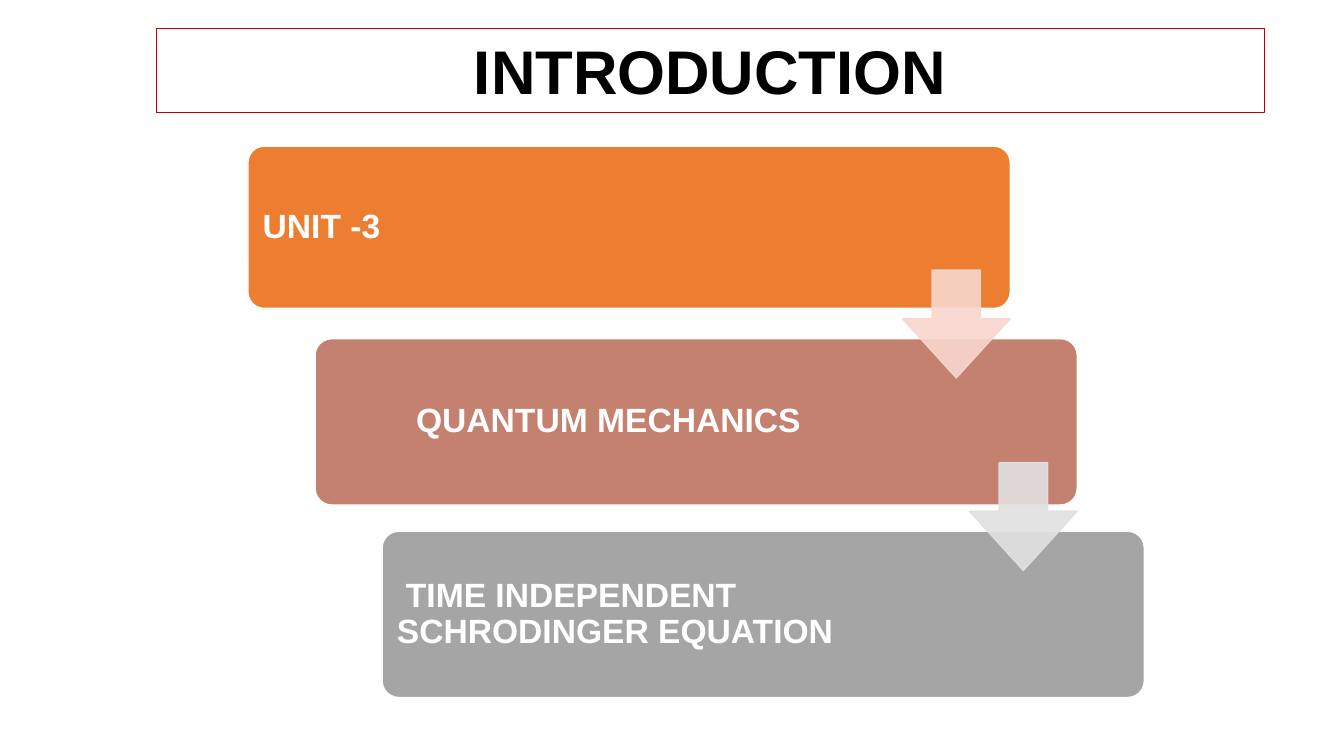
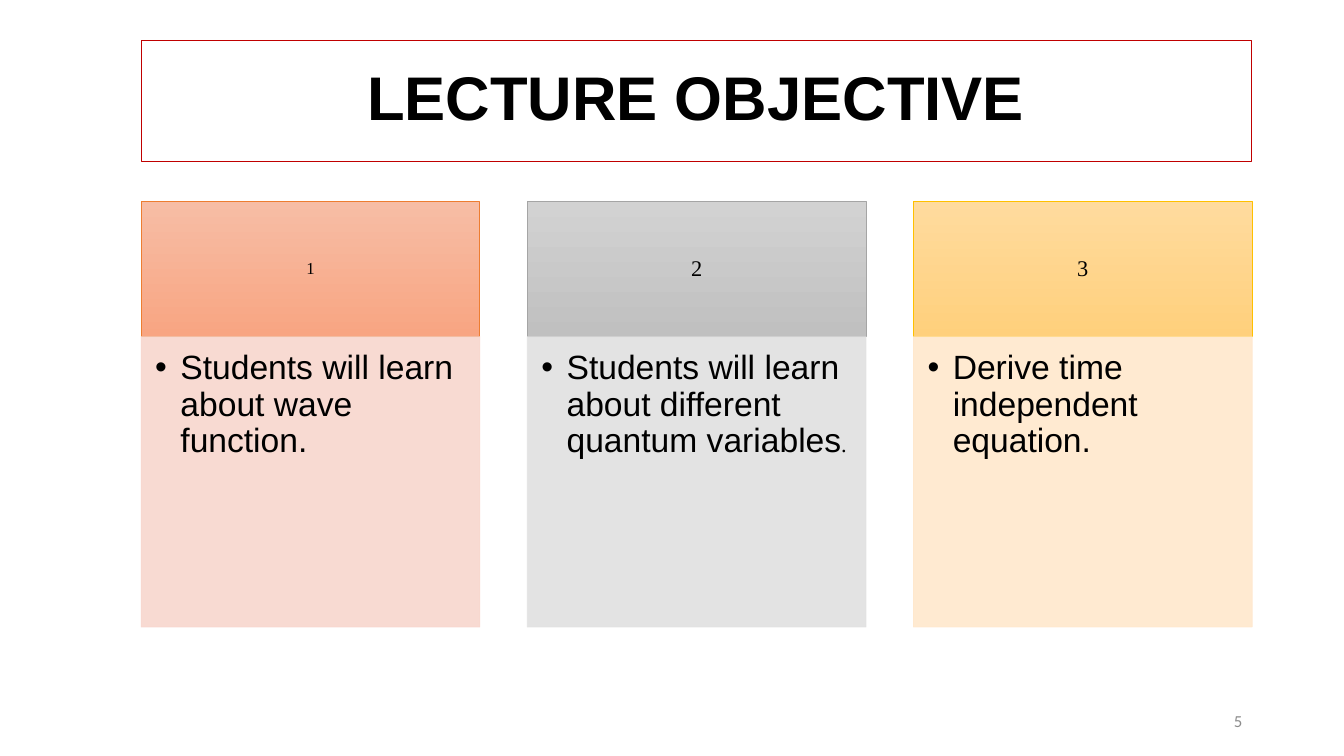
from lxml import etree
from pptx import Presentation
from pptx import util as u
from pptx.dml.color import RGBColor
from pptx.enum import shapes, text
from pptx.oxml.ns import qn

rgb = RGBColor.from_string
Shape = shapes.MSO_SHAPE
Align = text.PP_ALIGN
Anchor = text.MSO_ANCHOR


def block(slide, outline, place, fill=None, line=None, width=1, opacity=100, adjust=()):
    part = slide.shapes.add_shape(outline, *map(u.Inches, place))
    part.shadow.inherit = False
    if fill is None:
        part.fill.background()
    elif isinstance(fill, tuple):
        part.fill.gradient()
        part.fill.gradient_angle = 270
        for stop, color in zip(part.fill.gradient_stops, fill):
            stop.color.rgb = rgb(color)
    else:
        part.fill.solid()
        part.fill.fore_color.rgb = rgb(fill)
    if line:
        part.line.color.rgb = rgb(line)
        part.line.width = u.Pt(width)
    else:
        part.line.fill.background()
    for index, value in enumerate(adjust):
        part.adjustments[index] = value
    if opacity < 100:
        for color in part._element.spPr.iter(qn("a:srgbClr")):
            etree.SubElement(color, qn("a:alpha")).set("val", str(opacity * 1000))
    return part


def write(part, *runs, font="Arial", size=24, color="000000", bold=False, align=Align.LEFT,
          anchor=Anchor.MIDDLE, insets=(0.1, 0.05, 0.1, 0.05), spacing=0.9, bullet=None, indent=0):
    frame = part.text_frame
    frame.word_wrap = True
    frame.vertical_anchor = anchor
    frame.margin_left, frame.margin_top, frame.margin_right, frame.margin_bottom = map(u.Inches, insets)
    paragraph = frame.paragraphs[0]
    paragraph.alignment = align
    paragraph.line_spacing = spacing
    properties = paragraph._p.get_or_add_pPr()
    if bullet:
        properties.set("marL", str(u.Inches(0.25)))
        indent = -0.25
        etree.SubElement(properties, qn("a:buFont")).set("typeface", "Arial")
        etree.SubElement(properties, qn("a:buChar")).set("char", bullet)
    properties.set("indent", str(u.Inches(indent)))
    for words, *style in runs:
        run = paragraph.add_run()
        run.text = words
        run.font.name, points = style or (font, size)
        run.font.size = u.Pt(points)
        run.font.bold = bold
        run.font.color.rgb = rgb(color)


deck = Presentation()
deck.slide_width, deck.slide_height = u.Inches(13.33), u.Inches(7.5)
blank = deck.slide_layouts[6]

titles = [
    ("INTRODUCTION", (1.55, 0.28, 10.99, 0.84), Anchor.TOP, 1.0),
    ("LECTURE OBJECTIVE", (1.4, 0.4, 11.01, 1.2), Anchor.MIDDLE, 0.9),
]
for title, place, anchor, spacing in titles:
    slide = deck.slides.add_slide(blank)
    banner = block(slide, Shape.RECTANGLE, place, line="C00000", width=0.75)
    write(banner, (title,), size=44, bold=True, align=Align.CENTER, anchor=anchor, spacing=spacing)
introduction, objective = deck.slides

steps = [
    ("UNIT -3", "ED7D31", 1.61, Align.LEFT, 0),
    ("QUANTUM MECHANICS", "C48170", 1.65, Align.CENTER, 0),
    ("TIME INDEPENDENT SCHRODINGER EQUATION", "A5A5A5", 1.65, Align.LEFT, 0.09),
]
step_right, step_down = 0.665, 1.91
for i, (topic, color, height, align, indent) in enumerate(steps):
    place = (2.46 + i * step_right, 1.45 + i * step_down, 7.56, height)
    step = block(introduction, Shape.ROUNDED_RECTANGLE, place, color, "FFFFFF", adjust=[0.1])
    write(step, (topic,), color="FFFFFF", bold=True, align=align, indent=indent,
          insets=(0.1, 0.1, 1.84, 0.1))

for i, color in enumerate(["F8D7CE", "E1E1E1"]):
    place = (8.95 + i * step_right, 2.68 + i * step_down, 1.07, 1.07)
    block(introduction, Shape.DOWN_ARROW, place, color, color, opacity=90, adjust=[0.45, 0.55])

objectives = [
    (12, ("F7BDA5", "F8A582"), "ED7D31", "F8D7CE",
     [("Students will learn about wave function.",)]),
    (16, ("D2D2D2", "C0C0C0"), "A5A5A5", "E1E1E1",
     [("Students will learn about different quantum variables",), (".", "Times New Roman", 16)]),
    (16, ("FFDB9E", "FFD07C"), "FFC000", "FFE8CC",
     [("Derive time independent equation.",)]),
]
for i, (number_size, gradient, edge, tint, goal) in enumerate(objectives):
    left = 1.4 + i * 3.83
    header = block(objective, Shape.RECTANGLE, (left, 2, 3.36, 1.34), gradient, edge, 0.5)
    write(header, (str(i + 1),), font="Times New Roman", size=number_size, align=Align.CENTER)
    body = block(objective, Shape.RECTANGLE, (left, 3.34, 3.36, 2.88), tint, tint, 0.5, 90)
    write(body, *goal, anchor=Anchor.TOP, insets=(0.14, 0.14, 0.19, 0.21), bullet="•")

page_number = objective.shapes.add_textbox(*map(u.Inches, (9.42, 6.95, 3, 0.4)))
write(page_number, ("5",), font="Calibri", size=12, color="8C8C8C", align=Align.RIGHT, spacing=1.0)

deck.save("out.pptx")
